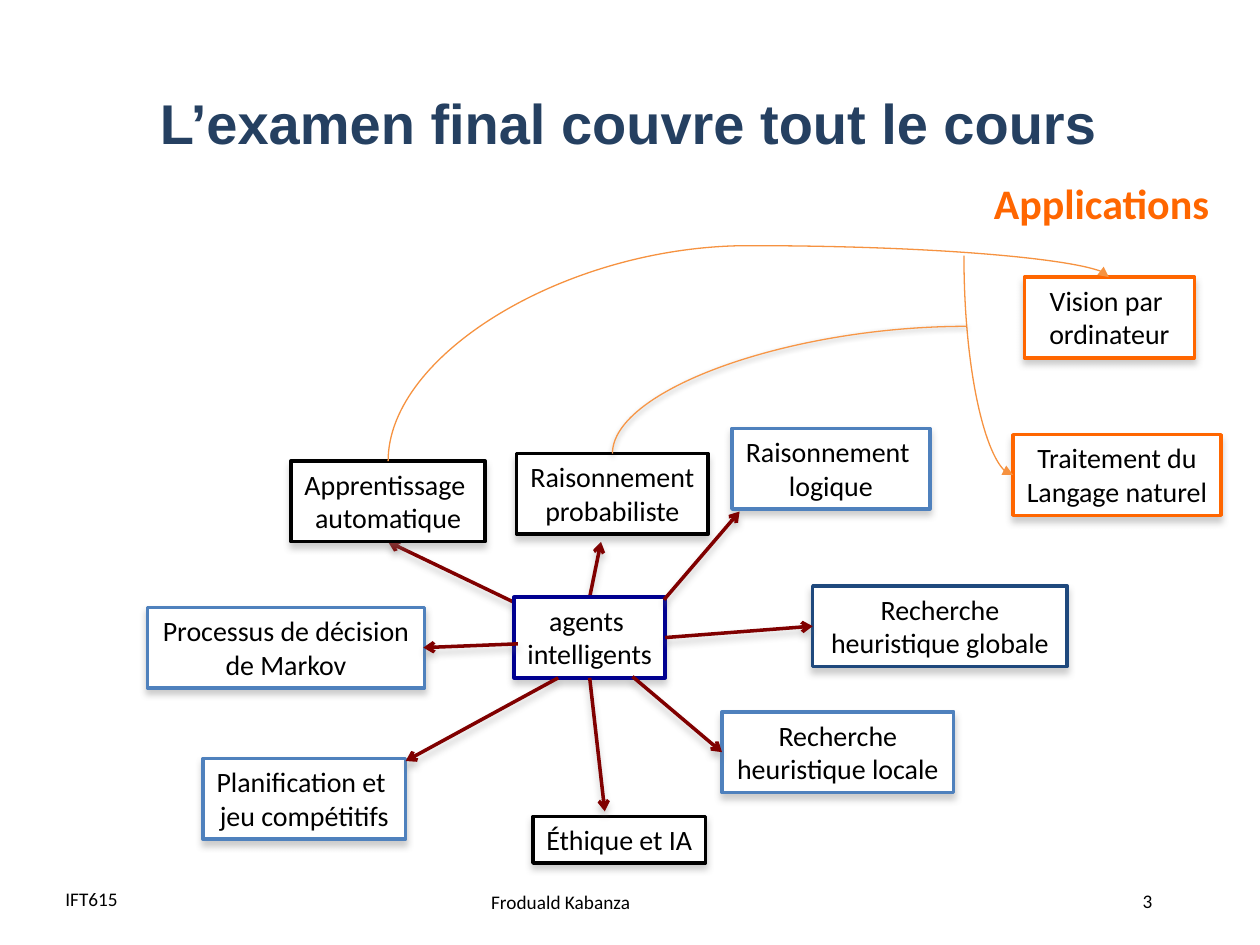
from lxml.etree import SubElement
from pptx import Presentation
from pptx.dml.color import RGBColor
from pptx.enum.shapes import MSO_CONNECTOR, MSO_SHAPE
from pptx.enum.text import MSO_ANCHOR, MSO_AUTO_SIZE, PP_ALIGN
from pptx.oxml.ns import qn
from pptx.util import Inches, Pt

THEME = {
    "title": "254061", "text": "000000", "box": "FFFFFF", "arrow": "800000",
    "agent": "000090", "black": "000000", "blue": "4F81BD", "navy": "1F497D",
    "orange": "FF6600", "curve": "F69240", "curve_soft": "F79646",
    "title_font": "Arial", "body_font": "Calibri",
    "title_size": 32, "heading_size": 24, "box_size": 16, "footer_size": 11,
    "box_line": 2, "curve_line": 0.75,
    # colour, opacity %, blur pt, distance pt
    "shadow": ("808080", 40, 4, 3), "soft_shadow": ("000000", 38, 3.1, 1.6),
}

# All places are columns and rows of a 100 by 75 grid
COLUMNS, ROWS = 100, 75
CELL = Inches(10) / COLUMNS
TALL_BOX, SHORT_BOX = 6.4, 3.7

# text, left, top, width, height, font, size, colour, bold, alignment, anchor
TITLE = ("L’examen final couvre tout le cours", 5, 5.4, 89.8, 8.5,
         "title_font", "title_size", "title", True, PP_ALIGN.CENTER, MSO_ANCHOR.MIDDLE)
HEADING = ("Applications", 77.9, 13.6, 19.3, 5,
           "body_font", "heading_size", "orange", True, PP_ALIGN.LEFT, MSO_ANCHOR.TOP)
FOOTER = [("IFT615", 4.2, 70, 7.5, 2.6), ("Froduald Kabanza", 38, 70.1, 25.4, 2.9),
          ("3", 89.7, 70, 5.3, 3)]

# text, left, top, width, line colour, wraps
TOPICS = [
    ("agents \nintelligents", 40.8, 47.4, 12, "agent", False),
    ("Raisonnement \nlogique", 58.1, 34, 15.7, "blue", False),
    ("Apprentissage \nautomatique", 23.1, 36.6, 15.4, "black", False),
    ("Processus de décision \nde Markov", 11.7, 48.2, 22, "blue", True),
    ("Planification et \njeu compétitifs", 16.1, 60.2, 16.1, "blue", False),
    ("Recherche heuristique locale", 57.3, 56.5, 18.4, "blue", True),
    ("Recherche heuristique globale", 64.5, 46.5, 20.2, "navy", True),
    ("Éthique et IA", 42.3, 64.8, 13.7, "black", False),
    ("Raisonnement\nprobabiliste", 41, 36, 15.2, "black", False),
    ("Vision par \nordinateur", 81.3, 22, 13.5, "orange", True),
    ("Traitement du\nLangage naturel", 80.4, 34.5, 16.5, "orange", False),
]

# Arrows from the agents box: start, end
ARROWS_BEHIND = [((46.8, 47.4), (47.7, 43)), ((41, 47.9), (30.8, 43))]
ARROWS_FRONT = [
    ((52.8, 50.6), (64.5, 49.7)), ((50.2, 53.7), (57.3, 59.7)),
    ((46.8, 53.8), (48, 64.4)), ((41.1, 51.1), (33.6, 51.4)),
    ((44.3, 53.8), (32.2, 60.4)), ((52.7, 47.6), (58.7, 40.6)),
]

# start, end, quarter turns, preset, adjustment, colour, arrowhead, shadow
CURVES = [
    ((30.8, 36.6), (88, 22), 1, "curvedConnector3", 117100, "curve", "triangle", None),
    ((76.5, 20.3), (80.4, 37.7), 3, "curvedConnector2", None, "curve", "triangle", None),
    ((48.6, 36), (76.7, 25.9), 1, "curvedConnector2", None, "curve_soft", None, "soft_shadow"),
]


def grid(*values):
    return [round(value * CELL) for value in values]


def color(name):
    return RGBColor.from_string(THEME[name])


def set_shadow(shape, name):
    """Write the effect list; an empty one means no shadow."""
    effects = SubElement(shape._element.spPr, qn("a:effectLst"))
    if name:
        shade, opacity, blur, distance = THEME[name]
        outer = SubElement(effects, qn("a:outerShdw"), blurRad=str(Pt(blur)),
                           dist=str(Pt(distance)), dir="5400000", rotWithShape="0")
        fill = SubElement(outer, qn("a:srgbClr"), val=shade)
        SubElement(fill, qn("a:alpha"), val=str(opacity * 1000))


def write_text(shape, text, font, size, tint, bold, alignment, anchor, wrap=True):
    frame = shape.text_frame
    frame.text = text
    frame.word_wrap = wrap
    frame.vertical_anchor = anchor
    for paragraph in frame.paragraphs:
        paragraph.alignment = alignment
        for run in paragraph.runs:
            run.font.name, run.font.size = THEME[font], Pt(THEME[size])
            run.font.bold, run.font.color.rgb = bold, color(tint)


def add_label(slide, text, left, top, width, height, *style):
    label = slide.shapes.add_textbox(*grid(left, top, width, height))
    write_text(label, text, *style)


def add_topic(slide, text, left, top, width, line, wrap):
    two_lines = "\n" in text or wrap
    height = TALL_BOX if two_lines else SHORT_BOX
    box = slide.shapes.add_shape(MSO_SHAPE.RECTANGLE, *grid(left, top, width, height))
    box.fill.solid()
    box.fill.fore_color.rgb = color("box")
    box.line.color.rgb = color(line)
    box.line.width = Pt(THEME["box_line"])
    set_shadow(box, "shadow")
    write_text(box, text, "body_font", "box_size", "text", False,
               PP_ALIGN.CENTER, MSO_ANCHOR.TOP, wrap)
    box.text_frame.auto_size = MSO_AUTO_SIZE.SHAPE_TO_FIT_TEXT


def add_line(slide, kind, start, end, tint, width, head, shadow):
    connector = slide.shapes.add_connector(kind, *grid(*start, *end))
    connector.line.color.rgb = color(tint)
    connector.line.width = Pt(THEME[width])
    if head:
        SubElement(connector.line._get_or_add_ln(), qn("a:tailEnd"), type=head)
    set_shadow(connector, shadow)
    return connector


def add_arrow(slide, start, end):
    add_line(slide, MSO_CONNECTOR.STRAIGHT, start, end, "arrow", "box_line", "arrow", "shadow")


def add_curve(slide, start, end, turns, preset, adjustment, tint, head, shadow):
    # Turn the end points back about their middle, then rotate the connector
    middle_x, middle_y = (start[0] + end[0]) / 2, (start[1] + end[1]) / 2
    x, y = start[0] - middle_x, start[1] - middle_y
    for _ in range(turns):
        x, y = y, -x
    connector = add_line(slide, MSO_CONNECTOR.CURVE, (middle_x + x, middle_y + y),
                         (middle_x - x, middle_y - y), tint, "curve_line", head, shadow)
    properties = connector._element.spPr
    properties.find(qn("a:xfrm")).set("rot", str(turns * 90 * 60000))
    geometry = properties.find(qn("a:prstGeom"))
    geometry.set("prst", preset)
    if adjustment:
        SubElement(geometry.find(qn("a:avLst")), qn("a:gd"),
                   name="adj1", fmla=f"val {adjustment}")


def main():
    presentation = Presentation()
    presentation.slide_width, presentation.slide_height = grid(COLUMNS, ROWS)
    slide = presentation.slides.add_slide(presentation.slide_layouts[6])

    # Title and footer
    add_label(slide, *TITLE)
    for item in FOOTER:
        add_label(slide, *item, "body_font", "footer_size", "text", False,
                  PP_ALIGN.LEFT, MSO_ANCHOR.MIDDLE)

    # Topic map
    for arrow in ARROWS_BEHIND:
        add_arrow(slide, *arrow)
    for topic in TOPICS:
        add_topic(slide, *topic)
    for arrow in ARROWS_FRONT:
        add_arrow(slide, *arrow)

    # Applications
    add_label(slide, *HEADING, False)
    for curve in CURVES:
        add_curve(slide, *curve)

    presentation.save("out.pptx")


if __name__ == "__main__":
    main()
